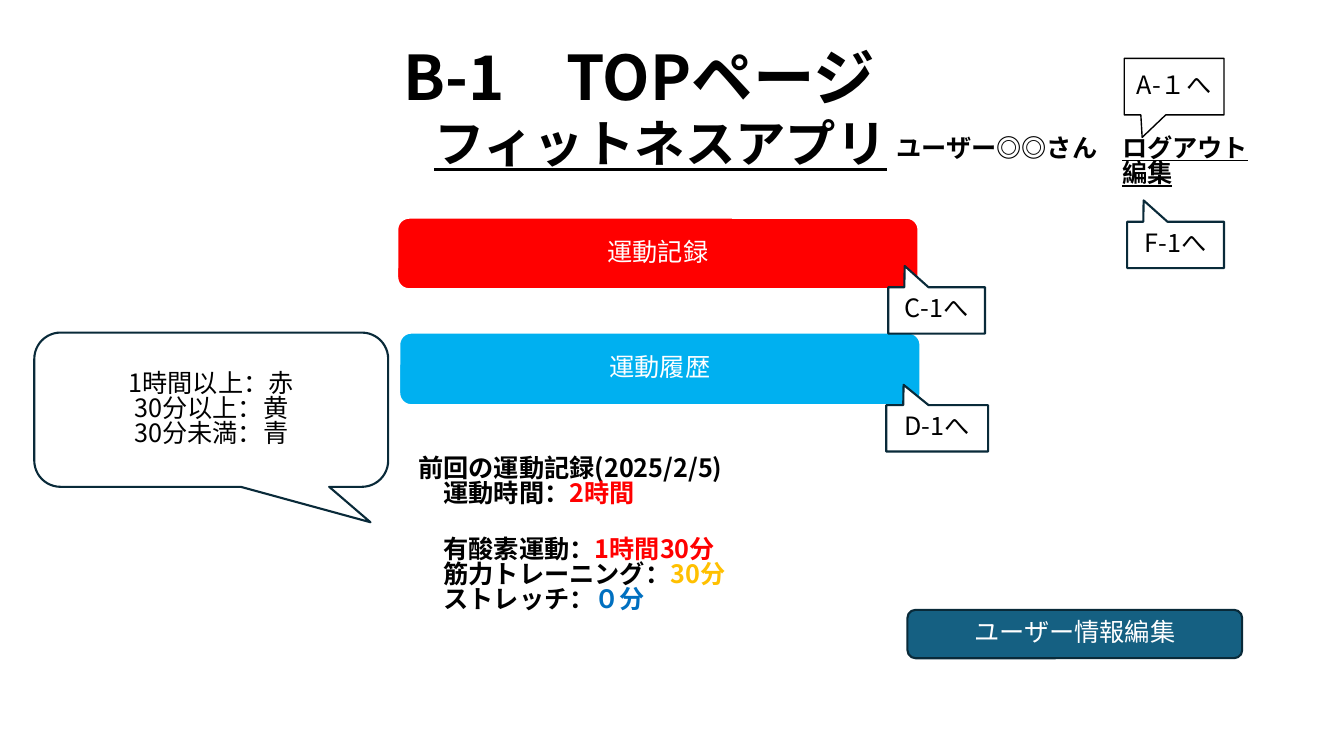
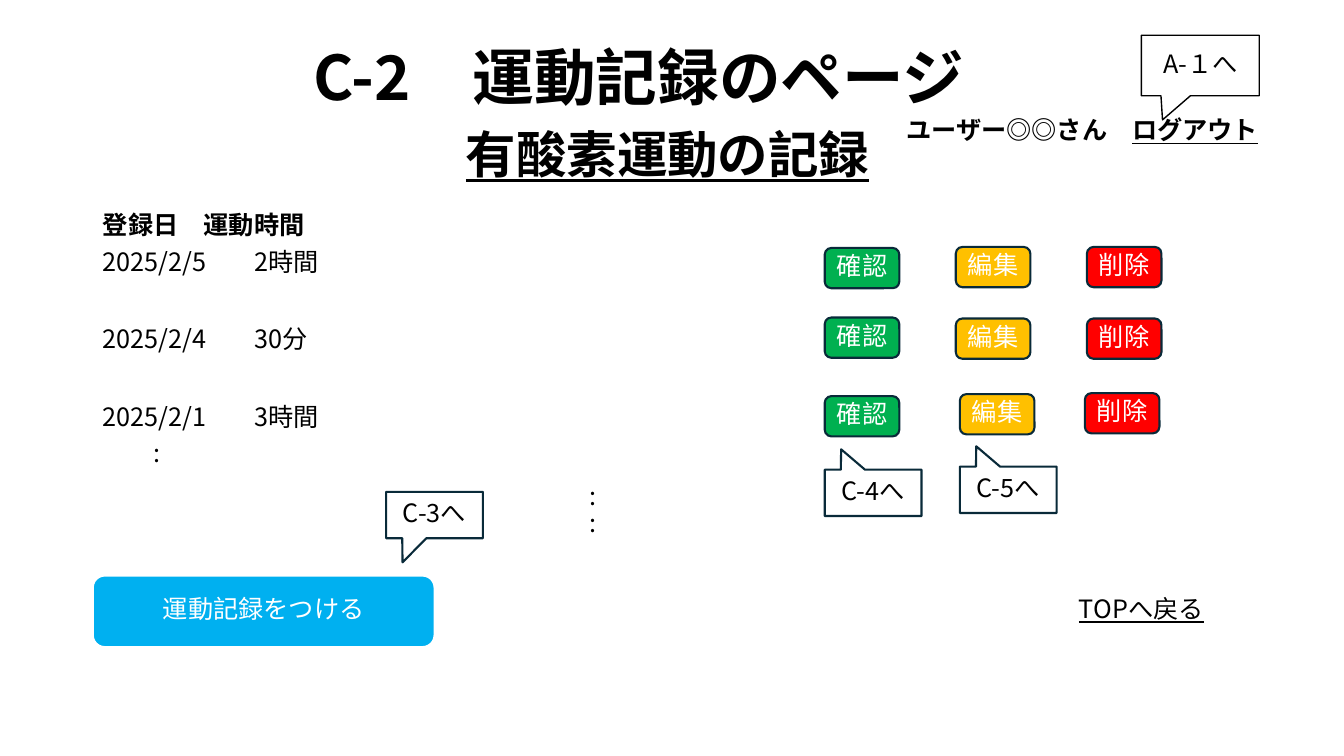
from lxml import etree
from pptx import Presentation
from pptx.dml.color import RGBColor
from pptx.enum.shapes import MSO_SHAPE
from pptx.enum.text import MSO_ANCHOR, MSO_AUTO_SIZE, PP_ALIGN
from pptx.oxml.ns import qn
from pptx.util import Inches, Pt

FONT = "Noto Sans CJK JP"
LINE_SPACING = 0.83
COLORS = {
    "black": "000000", "white": "FFFFFF", "navy": "092A39", "teal": "156082",
    "red": "FF0000", "sky": "00B0F0", "yellow": "FFC000", "green": "00B050",
    "blue": "0070C0",
}
RGB = {name: RGBColor.from_string(value) for name, value in COLORS.items()}
LEFT, CENTER = PP_ALIGN.LEFT, PP_ALIGN.CENTER
TOP, MIDDLE = MSO_ANCHOR.TOP, MSO_ANCHOR.MIDDLE
ROUND = MSO_SHAPE.ROUNDED_RECTANGLE
CALLOUT = MSO_SHAPE.RECTANGULAR_CALLOUT
ROUND_CALLOUT = MSO_SHAPE.ROUNDED_RECTANGULAR_CALLOUT
PROCESS = MSO_SHAPE.FLOWCHART_ALTERNATE_PROCESS
TITLE_ONLY, TITLE_AND_BODY = 5, 1


def write(sp, paragraphs, at, align=LEFT, anchor=TOP, color="black", tab=None, **base):
    """Place sp and fill it; a paragraph is a string or a list of (text, format) runs."""
    sp.left, sp.top, sp.width, sp.height = [Inches(v) for v in at]
    tf = sp.text_frame
    tf.word_wrap, tf.auto_size, tf.vertical_anchor = True, MSO_AUTO_SIZE.NONE, anchor
    for i, runs in enumerate(paragraphs):
        p = tf.paragraphs[0] if i == 0 else tf.add_paragraph()
        p.alignment, p.line_spacing = align, LINE_SPACING
        if tab:
            tabs = etree.SubElement(p._p.get_or_add_pPr(), qn("a:tabLst"))
            etree.SubElement(tabs, qn("a:tab"), pos=str(Inches(tab)), algn="l")
        for text, fmt in [(runs, {})] if isinstance(runs, str) else runs:
            r = p.add_run()
            r.text = text
            fmt = {"size": 18, "color": color, **base, **fmt}
            r.font.color.rgb = RGB[fmt.pop("color")]
            r.font.size = Pt(fmt.pop("size"))
            r.font.name = FONT
            for name, value in fmt.items():
                setattr(r.font, name, value)
            etree.SubElement(r._r.get_or_add_rPr(), qn("a:ea"), typeface=FONT)
    return tf


def add_box(s, kind, at, paragraphs, fill="white", line="navy", width=1.5,
            color="black", adj=()):
    sp = s.shapes.add_shape(kind, *[Inches(v) for v in at])
    sp.shadow.inherit = False
    sp.fill.solid()
    sp.fill.fore_color.rgb = RGB[fill]
    sp.line.color.rgb = RGB[line]
    sp.line.width = Pt(width)
    for i, value in enumerate(adj):
        sp.adjustments[i] = value
    write(sp, paragraphs, at, CENTER, MIDDLE, color)


prs = Presentation()
prs.slide_width, prs.slide_height = Inches(13.33), Inches(7.5)

# Title, underlined heading, user links and logout callout of both pages
user = [("ユーザー◎◎さん\t", {}), ("ログアウト", {"underline": True})]
edit = [("\t", {}), ("編集", {"underline": True})]
pages = [
    (TITLE_ONLY, "B-1　TOPページ", "フィットネスアプリ", (3.66, 1.16),
     [user, edit], (8.79, 1.31, 3.83, 0.71), (11.15, 0.58, 0.99, 0.56)),
    (TITLE_AND_BODY, "C-2　運動記録のページ", "有酸素運動の記録", (3.73, 1.27),
     [user], (8.89, 1.14, 3.83, 0.4), (11.32, 0.35, 1.17, 0.6)),
]
for layout, title, heading, heading_at, links, links_at, logout_at in pages:
    s = prs.slides.add_slide(prs.slide_layouts[layout])
    write(s.shapes.title, [title], (0.59, 0.24, 11.5, 1.14), CENTER, MIDDLE,
          size=44, bold=True)
    write(s.shapes.add_textbox(0, 0, 0, 0), [heading], (*heading_at, 5.78, 0.71),
          CENTER, size=36, bold=True, underline=True)
    write(s.shapes.add_textbox(0, 0, 0, 0), links, links_at, tab=2.24, bold=True)
    add_box(s, CALLOUT, logout_at, ["A-１へ"], line="black", width=1, adj=(-0.32, 0.9))
top_page, record_page = prs.slides

# Top page
s = top_page
add_box(s, ROUND, (3.94, 2.16, 5.17, 0.71), ["運動記録"], "red", "white", color="white")
add_box(s, ROUND, (3.96, 3.3, 5.17, 0.72), ["運動履歴"], "sky", "white", color="white")
last_record = [
    "前回の運動記録(2025/2/5)",
    [("運動時間：", {}), ("2時間", {"color": "red"})],
    [("有酸素運動：", {}), ("1時間30分", {"color": "red"})],
    [("筋力トレーニング：", {}), ("30分", {"color": "yellow"})],
    [("ストレッチ：", {}), ("０分", {"color": "blue"})],
]
tf = write(s.shapes.add_textbox(0, 0, 0, 0), last_record, (4.05, 4.49, 6.08, 1.92),
           bold=True)
for p in tf.paragraphs[1:]:
    p._p.get_or_add_pPr().set("marL", str(Inches(0.25)))
tf.paragraphs[2].space_before = Pt(21.6)
add_box(s, ROUND_CALLOUT, (0.34, 3.3, 3.51, 1.53),
        ["1時間以上：赤", "30分以上：黄", "30分未満：青"], adj=(0.45, 0.73, 0.17))
add_box(s, PROCESS, (9, 6.05, 3.32, 0.48), ["ユーザー情報編集"], "teal", color="white")

# Record page
s = record_page
records = [  # text, tab position, space before
    ([("登録日\t運動時間", {"bold": True})], 3.0, 0),
    ("2025/2/5\t2時間", 3.26, 10),
    ("2025/2/4\t30分", 3.12, 39),
    ("2025/2/1\t3時間", 2.93, 39),
    ("\t:", 3.8, 10),
]
tf = write(s.placeholders[1], [text for text, _, _ in records], (0.92, 2.1, 11.82, 5.04))
for p, (_, tab, before) in zip(tf.paragraphs, records):
    p.line_spacing, p.space_before = 0.75, Pt(before)
    pPr = p._p.get_or_add_pPr()
    pPr.set("marL", "0")
    pPr.set("indent", "0")
    etree.SubElement(pPr, qn("a:buNone"))
    tabs = etree.SubElement(pPr, qn("a:tabLst"))
    etree.SubElement(tabs, qn("a:tab"), pos=str(Inches(tab)), algn="l")
add_box(s, ROUND, (0.92, 5.71, 3.39, 0.71), ["運動記録をつける"], "sky", "white",
        color="white")
buttons = [
    ("確認", "green", [(8.18, 2.46), (8.18, 3.15), (8.18, 3.93)]),
    ("編集", "yellow", [(9.48, 2.45), (9.48, 3.16), (9.52, 3.91)]),
    ("削除", "red", [(10.78, 2.45), (10.78, 3.16), (10.76, 3.9)]),
]
for label, fill, places in buttons:
    for place in places:
        add_box(s, ROUND, (*place, 0.74, 0.4), [label], fill, color="white")
for y in (4.77, 5.03):
    write(s.shapes.add_textbox(0, 0, 0, 0), [":"], (5.75, y, 1, 0.4))
write(s.shapes.add_textbox(0, 0, 0, 0), ["TOPへ戻る"], (9.89, 5.86, 2.86, 0.4),
      CENTER, MIDDLE, underline=True)

# Callouts naming the page each control leads to
callouts = [
    (top_page, "D-1へ", (8.79, 4.02, 1.01, 0.46), -0.94),
    (top_page, "C-1へ", (8.81, 2.85, 0.96, 0.46), -0.96),
    (top_page, "F-1へ", (11.18, 2.2, 0.96, 0.46), -0.96),
    (record_page, "C-3へ", (3.83, 4.88, 0.96, 0.46), 1.02),
    (record_page, "C-4へ", (8.18, 4.66, 0.96, 0.46), -0.94),
    (record_page, "C-5へ", (9.52, 4.63, 0.96, 0.46), -0.94),
]
for s, target, at, tip in callouts:
    add_box(s, CALLOUT, at, [target], adj=(-0.33, tip))

prs.save("out.pptx")
